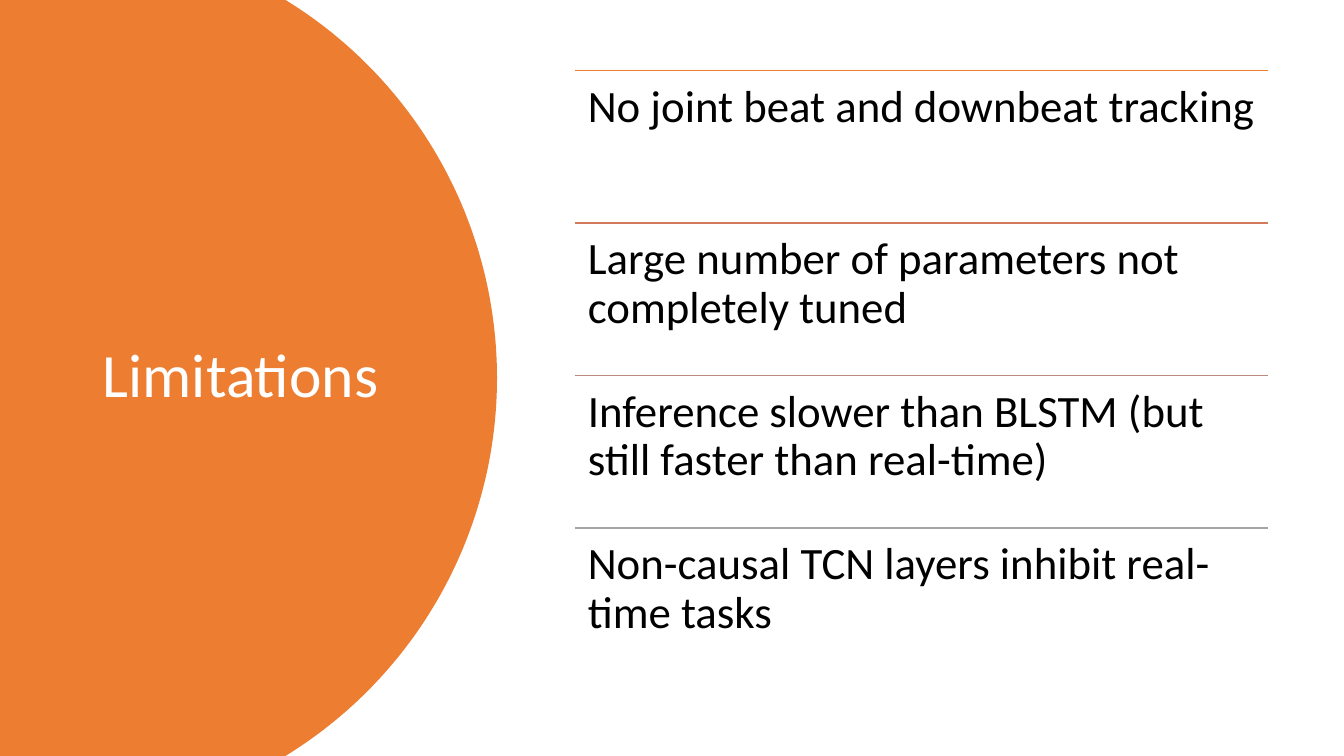
"""Build the Limitations slide: an orange disc with the title beside four ruled points."""
from math import asin, cos, sin

from lxml.etree import SubElement
from pptx import Presentation
from pptx.dml.color import RGBColor
from pptx.enum.shapes import MSO_CONNECTOR as Connector
from pptx.enum.text import MSO_ANCHOR as Anchor, MSO_AUTO_SIZE as AutoSize, PP_ALIGN as Align
from pptx.oxml.ns import qn
from pptx.util import Inches, Pt

TITLE = "Limitations"
POINTS = [
    ("No joint beat and downbeat tracking", "ED7D31"),
    ("Large number of parameters not completely tuned", "D17B5C"),
    ("Inference slower than BLSTM (but still faster than real-time)", "B98A82"),
    ("Non-causal TCN layers inhibit real-time tasks", "A5A5A5"),
]
WIDTH, HEIGHT = 13.33, 7.5
DISC_CENTER, DISC_RADIUS, ARC_STEPS = 0.53, 4.4, 120
LIST_LEFT, LIST_TOP, LIST_WIDTH, ROW_HEIGHT = 5.7, 0.7, 6.88, 1.513
INSET = 0.13


def color(value):
    return RGBColor.from_string(value)


def format_text(paragraph, size, value):
    paragraph.alignment = Align.LEFT
    paragraph.line_spacing = 0.9
    paragraph.font.name = "Calibri"
    paragraph.font.size = Pt(size)
    paragraph.font.color.rgb = color(value)


def add_disc(slide):
    middle = HEIGHT / 2
    limit = asin(middle / DISC_RADIUS)
    angles = [limit * (2 * step / ARC_STEPS - 1) for step in range(ARC_STEPS + 1)]
    arc = [(DISC_CENTER + DISC_RADIUS * cos(angle), middle + DISC_RADIUS * sin(angle))
           for angle in angles]
    builder = slide.shapes.build_freeform(0, 0)
    builder.add_line_segments([(Inches(x), Inches(y)) for x, y in arc + [(0, HEIGHT)]])
    disc = builder.convert_to_shape()
    disc.shadow.inherit = False
    disc.fill.solid()
    disc.fill.fore_color.rgb = color("ED7D31")
    disc.line.fill.background()
    return disc


def add_title(slide):
    title = slide.shapes.title
    title.left, title.top = Inches(0.92), Inches(0.7)
    title.width, title.height = Inches(3.23), Inches(6.09)
    frame = title.text_frame
    frame.text = TITLE
    frame.word_wrap = True
    frame.auto_size = AutoSize.NONE
    frame.vertical_anchor = Anchor.MIDDLE
    format_text(frame.paragraphs[0], 44, "FFFFFF")
    return title


def add_point(slide, row, text, rule_color):
    left, width = Inches(LIST_LEFT), Inches(LIST_WIDTH)
    top = Inches(LIST_TOP + row * ROW_HEIGHT)
    rule = slide.shapes.add_connector(Connector.STRAIGHT, left, top, left + width, top)
    rule.line.color.rgb = color(rule_color)
    rule.line.width = Pt(1)
    SubElement(rule.element.spPr, qn("a:effectLst"))

    box = slide.shapes.add_textbox(left, top, width, Inches(ROW_HEIGHT))
    frame = box.text_frame
    frame.word_wrap = True
    frame.margin_left = frame.margin_right = Inches(INSET)
    frame.margin_top = frame.margin_bottom = Inches(INSET)
    frame.text = text
    format_text(frame.paragraphs[0], 32, "000000")


def main():
    presentation = Presentation()
    presentation.slide_width, presentation.slide_height = Inches(WIDTH), Inches(HEIGHT)
    slide = presentation.slides.add_slide(presentation.slide_layouts[5])
    title = add_title(slide)
    disc = add_disc(slide)
    title.element.addprevious(disc.element)
    for row, (text, rule_color) in enumerate(POINTS):
        add_point(slide, row, text, rule_color)
    presentation.save("out.pptx")


if __name__ == "__main__":
    main()
